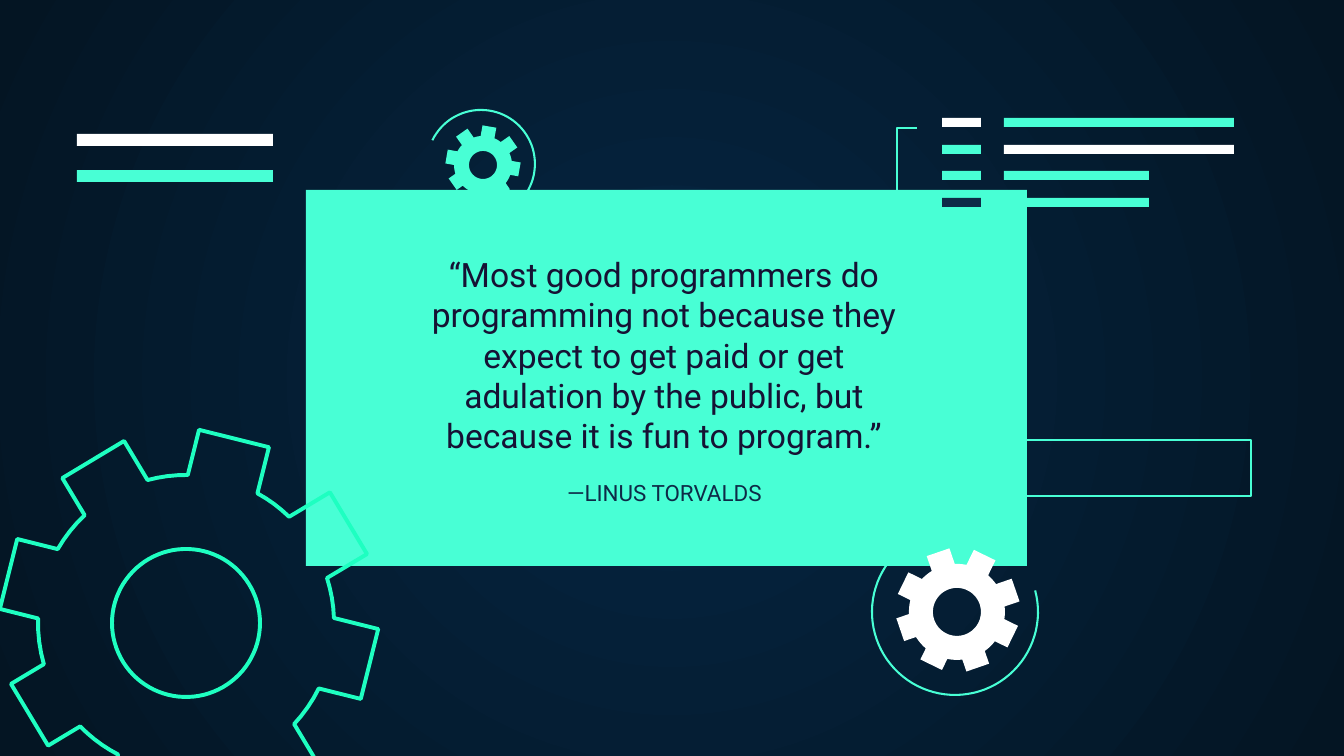
from math import asin, atan2, cos, degrees, radians, sin, sqrt

from lxml import etree
from pptx import Presentation
from pptx.dml.color import RGBColor
from pptx.enum.shapes import MSO_SHAPE
from pptx.enum.text import MSO_ANCHOR, PP_ALIGN
from pptx.oxml.ns import qn
from pptx.util import Pt

RECTANGLE = MSO_SHAPE.RECTANGLE
TOP, BOTTOM = MSO_ANCHOR.TOP, MSO_ANCHOR.BOTTOM
CENTER = PP_ALIGN.CENTER
PX = 9144000 / 1344
MINT, WHITE, NAVY = "48FFD5", "FFFFFF", "0E2A47"
TEETH = 8


def paint(fill, color):
    if color is None:
        fill.background()
    else:
        fill.solid()
        fill.fore_color.rgb = RGBColor.from_string(color)


def arc(x, y, radius, start, end):
    steps = max(4, round(abs(end - start) / 4))
    angles = [radians(start + (end - start) * i / steps) for i in range(steps + 1)]
    return [(x + radius * cos(a), y + radius * sin(a)) for a in angles]


deck = Presentation()
deck.slide_width, deck.slide_height = round(1344 * PX), round(756 * PX)
slide = deck.slides.add_slide(deck.slide_layouts[6])
shapes = slide.shapes

backdrop = slide.background.fill
backdrop.gradient()
for stop, color in zip(backdrop.gradient_stops, ("052643", "041523")):
    stop.color.rgb = RGBColor.from_string(color)
gradient = next(slide.element.iter(qn("a:gradFill")))
gradient.remove(gradient.find(qn("a:lin")))
glow = etree.SubElement(gradient, qn("a:path"), {"path": "circle"})
etree.SubElement(glow, qn("a:fillToRect"), dict.fromkeys("ltrb", "50000"))

panels = [
    (306, 190, 721, 376, MINT, None),
    (968, 440, 283, 56, None, MINT),
    (77, 134, 196, 12, WHITE, None),
    (77, 170, 196, 12, MINT, None),
]
code_lines = [(WHITE, MINT, 230), (MINT, WHITE, 230), (MINT, MINT, 145), (NAVY, MINT, 145)]
for row, (label_color, code_color, code_width) in enumerate(code_lines):
    top = 118 + round(row * 80 / 3)
    panels.append((942, top, 39, 9, label_color, None))
    panels.append((1004, top, code_width, 9, code_color, None))

for left, top, width, height, color, border in panels:
    panel = shapes.add_shape(RECTANGLE, *[round(v * PX) for v in (left, top, width, height)])
    panel.shadow.inherit = False
    paint(panel.fill, color)
    paint(panel.line.fill, border)
    if border:
        panel.line.width = Pt(1.1)

outlines = [
    ([arc(481, 164, 54, 206, 400)], False, None, MINT, 1.1),
    ([arc(955, 612, 83, -15, 233)], False, None, MINT, 1.1),
    ([[(917, 210), (897, 210), (897, 128), (917, 128)]], False, None, MINT, 1.1),
]
gears = [
    ((189, 619), (186, 623), 186, 36, 148, 74, 14, None, "1EFFC1", 2.1),
    ((958, 610), (957, 612), 61, 12, 48, 24, 26, WHITE, None, 0),
    ((483, 163), (483, 165), 37, 7, 29, 14, 10, MINT, None, 0),
]
for (x, y), (hub_x, hub_y), reach, half, root, bore, turn, color, border, weight in gears:
    rim = []
    last_root = None
    for tooth in range(TEETH + 1):
        angle = radians(turn + tooth * 360 / TEETH)
        ux, uy = cos(angle), sin(angle)
        shift = (y - hub_y) * ux - (x - hub_x) * uy
        flanks = [degrees(angle + asin((shift + side) / root)) for side in (-half, half)]
        if last_root is not None:
            rim += arc(hub_x, hub_y, root, last_root, flanks[0])
        if tooth < TEETH:
            rim += [(x + reach * ux - side * uy, y + reach * uy + side * ux) for side in (-half, half)]
        last_root = flanks[1]
    outlines.append(([rim, arc(hub_x, hub_y, bore, 0, 360)], True, color, border, weight))

for contours, closed, color, border, weight in outlines:
    builder = None
    for contour in contours:
        points = [(px * PX, py * PX) for px, py in contour]
        if builder is None:
            builder = shapes.build_freeform(*points[0], scale=1.0)
        else:
            builder.move_to(*points[0])
        builder.add_line_segments(points[1:], close=closed)
    outline = builder.convert_to_shape()
    outline.shadow.inherit = False
    paint(outline.fill, color)
    paint(outline.line.fill, border)
    if border:
        outline.line.width = Pt(weight)

quote = (
    "“Most good programmers do programming not because they expect to get paid "
    "or get adulation by the public, but because it is fun to program.”"
)
texts = [
    ("—LINUS TORVALDS", 405, 234, 519, 285, BOTTOM, 12, NAVY),
    (quote, 410, 241, 508, 208, TOP, 18, "161234"),
]
for words, left, top, width, height, anchor, size, color in texts:
    frame = shapes.add_textbox(*[round(v * PX) for v in (left, top, width, height)]).text_frame
    frame.word_wrap = True
    frame.vertical_anchor = anchor
    frame.margin_left = frame.margin_right = frame.margin_top = frame.margin_bottom = round(13 * PX)
    frame.text = words
    paragraph = frame.paragraphs[0]
    paragraph.alignment = CENTER
    font = paragraph.runs[0].font
    font.name, font.size = "Roboto", Pt(size)
    paint(font.fill, color)

deck.save("out.pptx")
